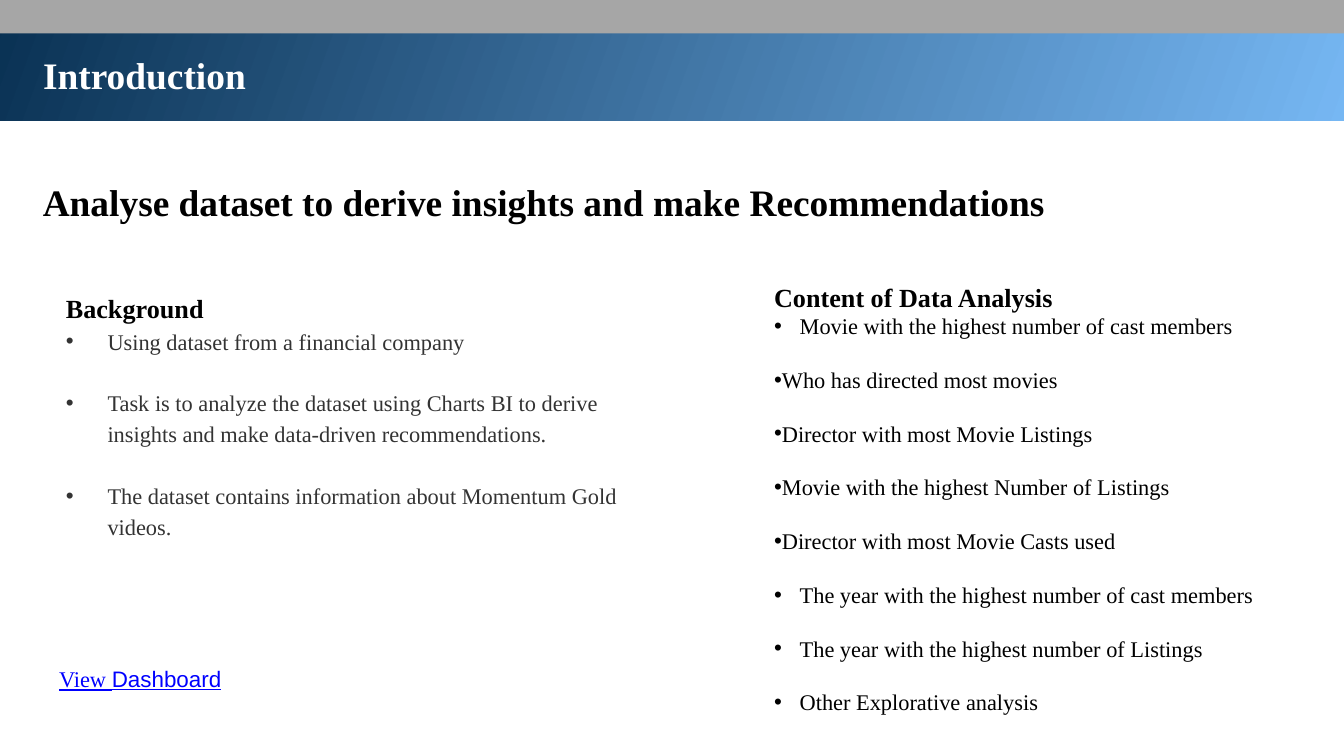
from lxml import etree
from pptx import Presentation
from pptx.dml.color import RGBColor
from pptx.enum.shapes import MSO_SHAPE
from pptx.enum.text import MSO_ANCHOR, MSO_AUTO_SIZE as AUTO, PP_ALIGN
from pptx.oxml.ns import qn
from pptx.util import Inches, Pt

SERIF = "Times New Roman"
HEADING = {"size": Pt(20), "bold": True}
SUBHEAD = {"size": Pt(14), "bold": True}
BODY = {"size": Pt(12), "bold": False}

BACKGROUND = [
    "Using dataset from a financial company",
    "Task is to analyze the dataset using Charts BI to derive "
    "insights and make data-driven recommendations.",
    "The dataset contains information about Momentum Gold videos.",
]
# Text, outline level, left margin in inches
ANALYSIS = [
    ("Movie with the highest number of cast members", 0, 0.19),
    ("Who has directed most movies", 1, 0),
    ("Director with most Movie Listings", 1, 0),
    ("Movie with the highest Number of Listings", 1, 0),
    ("Director with most Movie Casts used", 1, 0),
    ("The year with the highest number of cast members", 1, 0.19),
    ("The year with the highest number of Listings", 1, 0.19),
    ("Other Explorative analysis", 1, 0.19),
]


def rgb(value):
    return RGBColor.from_string(value)


def set_attrs(obj, values):
    for name, value in values.items():
        setattr(obj, name, value)


def place(s, box, inset):
    """Fit a text shape to its box and return its text frame."""
    set_attrs(s, dict(zip(("left", "top", "width", "height"), map(Inches, box))))
    tf = s.text_frame
    set_attrs(tf, {"word_wrap": True, "auto_size": AUTO.SHAPE_TO_FIT_TEXT,
                   "vertical_anchor": MSO_ANCHOR.TOP})
    for side in ("left", "top", "right", "bottom"):
        setattr(tf, f"margin_{side}", Inches(inset))
    return tf


def add_run(p, text, style, color="000000", font=SERIF):
    r = p.add_run()
    r.text = text
    set_attrs(r.font, {"name": font, **style})
    r.font.color.rgb = rgb(color)


def format_paragraph(p, spacing=1.0, after=0, margin=0, indent=0, bullet=False):
    set_attrs(p, {"alignment": PP_ALIGN.LEFT, "line_spacing": spacing,
                  "space_before": Pt(0), "space_after": Pt(after)})
    pPr = p._p.get_or_add_pPr()
    pPr.set("marL", str(Inches(margin)))
    pPr.set("indent", str(Inches(indent)))
    if bullet:
        etree.SubElement(pPr, qn("a:buFont")).set("typeface", "Arial")
        etree.SubElement(pPr, qn("a:buChar")).set("char", "•")
    else:
        etree.SubElement(pPr, qn("a:buNone"))


def add_band(slide, box, index):
    """Add a full-width band at the given depth of the drawing order."""
    s = slide.shapes.add_shape(MSO_SHAPE.RECTANGLE, *map(Inches, box))
    s.shadow.inherit = False
    s.line.fill.background()
    slide.shapes._spTree.insert(index, s._element)
    return s


def add_header(slide, box):
    x, y, w, h = box
    band = add_band(slide, (x, y, w, h), 2)
    band.fill.gradient()
    band.fill.gradient_angle = 160
    stops = zip(band.fill.gradient_stops, ((0, "76B7F3"), (1, "093153")))
    for stop, (position, color) in stops:
        stop.position = position
        stop.color.rgb = rgb(color)

    strip = add_band(slide, (x + 0.01, y + 0.01, w - 0.02, 0.26), 3)
    strip.fill.solid()
    strip.fill.fore_color.rgb = rgb("A6A6A6")

    tf = place(slide.shapes.title, (x + 0.24, y + 0.31, 9.37, 0.53), 0.1)
    format_paragraph(tf.paragraphs[0])
    add_run(tf.paragraphs[0], "Introduction", HEADING, "FFFFFF")


def add_line(slide, box, inset, runs, spacing=1.0):
    """Add a text box with one line made of (text, style, color, font) runs."""
    tf = place(slide.shapes.add_textbox(0, 0, 0, 0), box, inset)
    format_paragraph(tf.paragraphs[0], spacing)
    for run in runs:
        add_run(tf.paragraphs[0], *run)


def fill_list(s, box, inset, heading, items, indent, color, spacing, gap):
    tf = place(s, box, inset)
    format_paragraph(tf.paragraphs[0], spacing)
    add_run(tf.paragraphs[0], heading, SUBHEAD)
    for i, (text, level, margin) in enumerate(items, 1):
        p = tf.add_paragraph()
        p.level = level
        after = gap if i < len(items) else 0
        format_paragraph(p, spacing, after, margin, -indent, bullet=True)
        add_run(p, text, BODY, color)


def main():
    prs = Presentation()
    prs.slide_width = Inches(10)
    prs.slide_height = prs.slide_width * 9 // 16
    slide = prs.slides.add_slide(prs.slide_layouts[3])
    left, right = slide.placeholders[1], slide.placeholders[2]

    add_header(slide, (-0.02, -0.02, 10.05, 0.92))
    add_line(slide, (0.22, 1.18, 9.37, 0.59), 0.1,
             [("Analyse dataset to derive insights and make Recommendations", HEADING)],
             spacing=1.15)
    fill_list(left, (0.39, 2.04, 4.52, 2.09), 0.1, "Background",
              [(text, 0, 0.31) for text in BACKGROUND], 0.31, "333333", 1.15, 16.5)
    fill_list(right, (5.71, 2.04, 3.73, 3.57), 0.05, "Content of Data Analysis",
              ANALYSIS, 0.19, "000000", 1.0, 14.4)
    link = {"size": Pt(12), "underline": True}
    add_line(slide, (0.39, 4.9, 4.23, 0.3), 0.05,
             [("View ", link, "0000FF"), ("Dashboard", link, "0000FF", "Arial")])
    prs.save("out.pptx")


if __name__ == "__main__":
    main()
